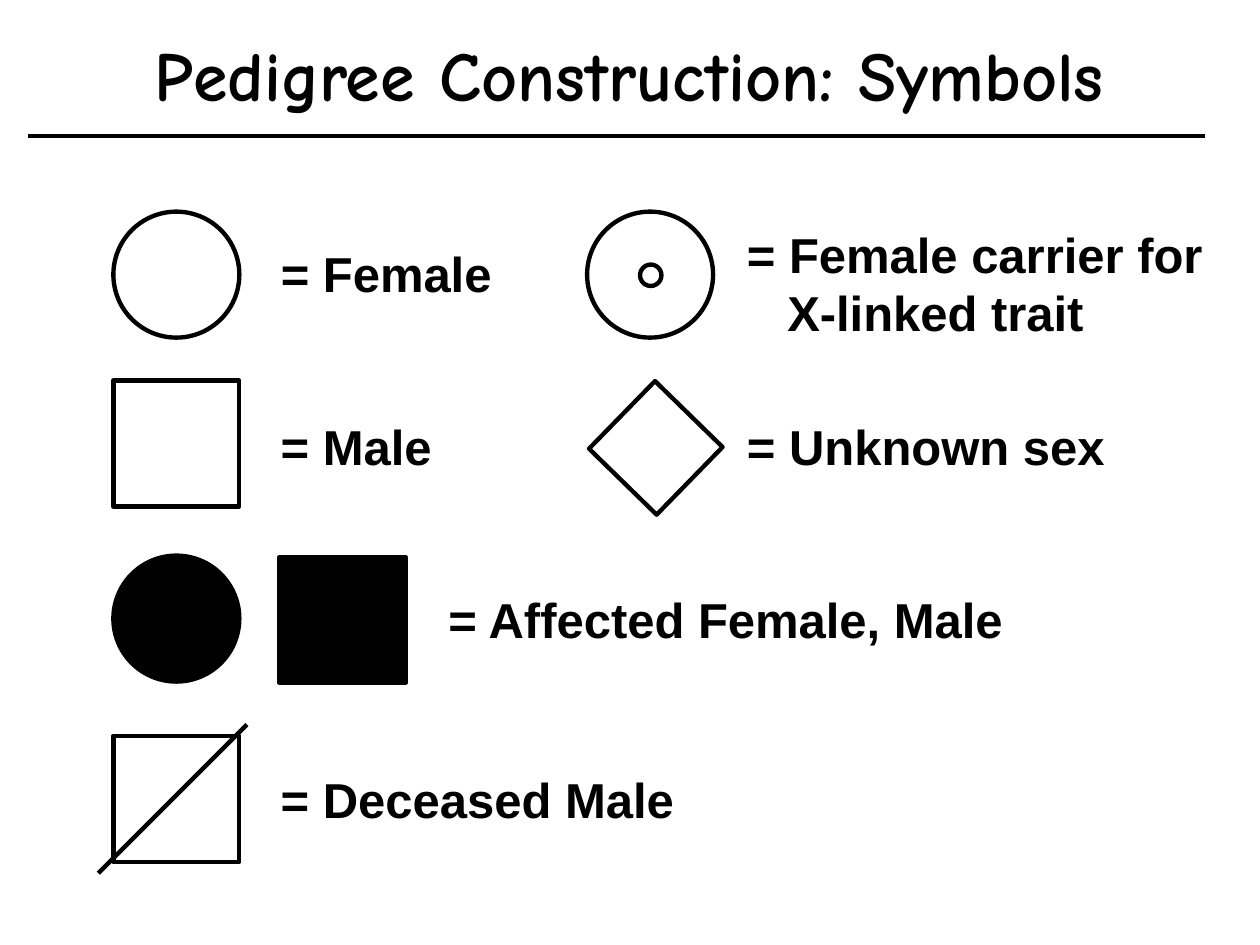
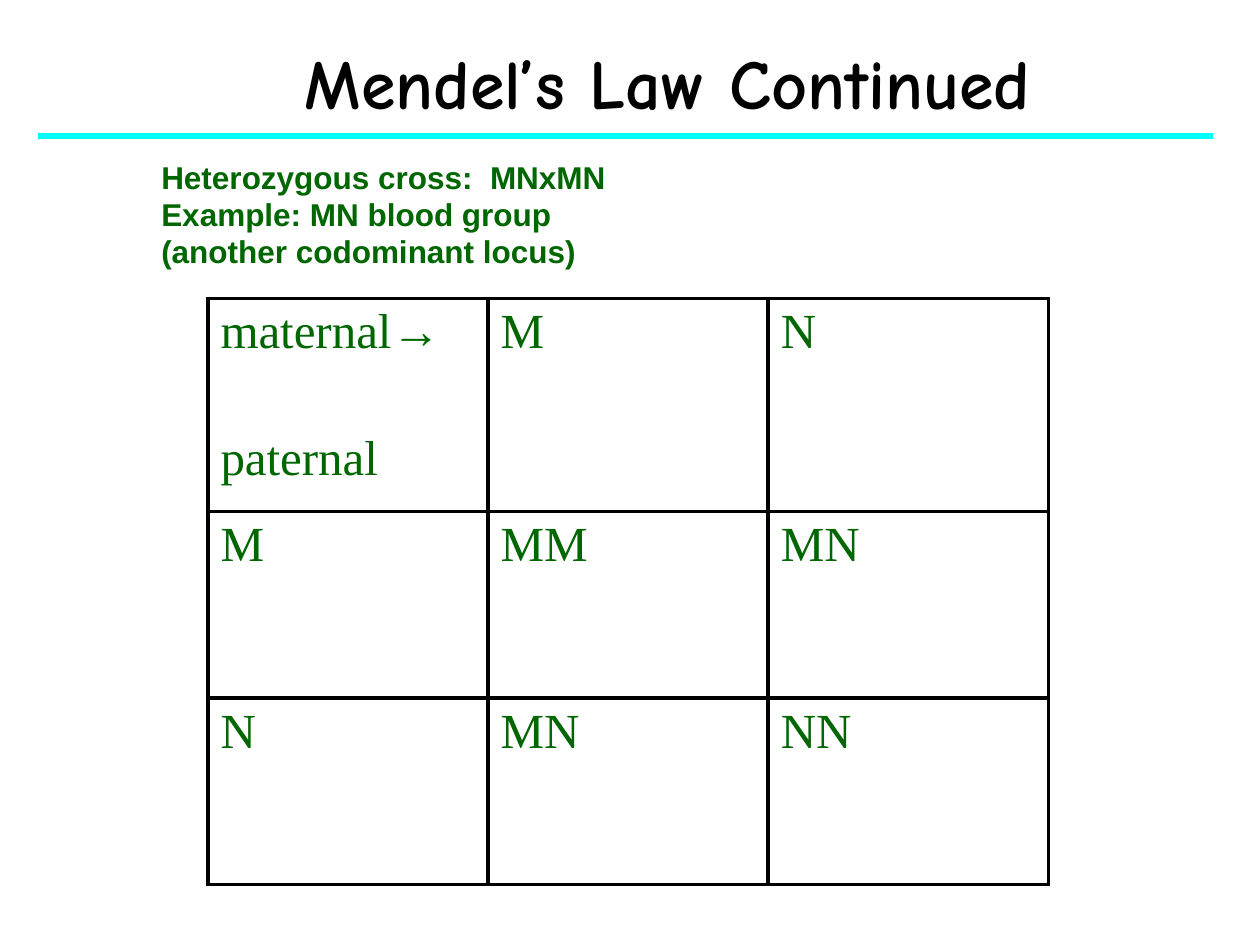
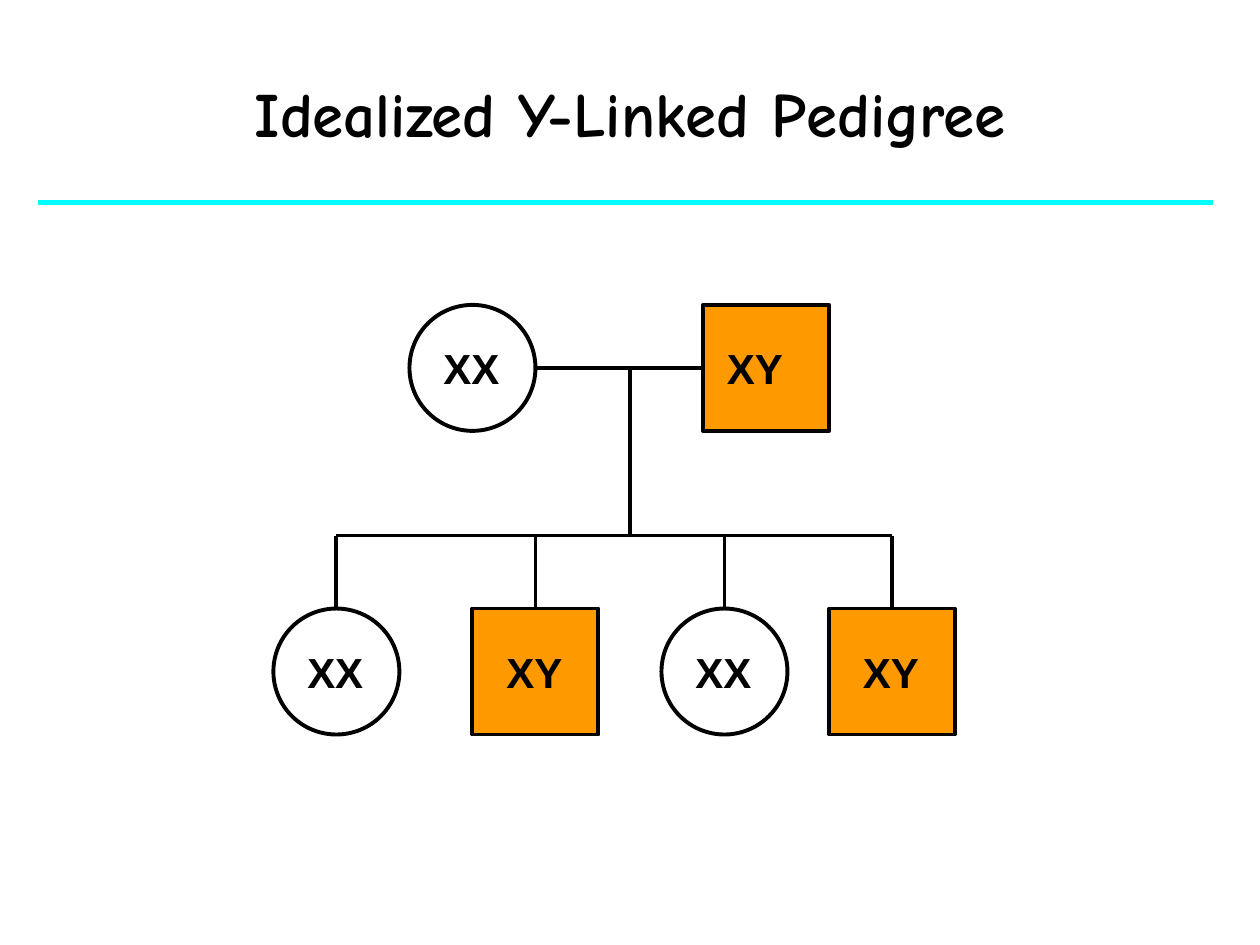
from dataclasses import dataclass

from lxml.etree import SubElement
from pptx import Presentation
from pptx.dml.color import RGBColor
from pptx.enum.shapes import MSO_CONNECTOR, MSO_SHAPE as SHAPE
from pptx.enum.text import MSO_ANCHOR, MSO_AUTO_SIZE as FIT, PP_ALIGN
from pptx.oxml.ns import qn
from pptx.util import Inches, Pt


@dataclass(frozen=True)
class Theme:
    ink: str = "000000"
    paper: str = "FFFFFF"
    accent: str = "00FFFF"
    green: str = "006600"
    affected: str = "FF9900"
    title_font: str = "Comic Neue"
    sans: str = "Arial"
    serif: str = "Times New Roman"
    title_size: float = 40
    small_title_size: float = 36
    label_size: float = 28
    person_size: float = 24
    body_size: float = 18
    symbol_line: float = 2.5
    tree_line: float = 2.25
    rule_line: float = 3


THEME = Theme()
FEMALE, MALE = SHAPE.OVAL, SHAPE.RECTANGLE


def rgb(color):
    return RGBColor.from_string(color)


def inches(*values):
    return [Inches(v) for v in values]


class Deck:
    def __init__(self, theme):
        self.theme = theme
        self.prs = Presentation()
        self.prs.slide_width, self.prs.slide_height = inches(10, 7.5)
        self.s = None

    def slide(self, layout):
        self.s = self.prs.slides.add_slide(self.prs.slide_layouts[layout])

    def place(self, sp, box):
        sp.left, sp.top, sp.width, sp.height = inches(*box)

    def style(self, tf, font, size, color, bold=True):
        for p in tf.paragraphs:
            for r in p.runs:
                r.font.name = font
                r.font.size = Pt(size)
                r.font.bold = bold
                r.font.color.rgb = rgb(color)

    def title(self, text, box, size, spacing=1.0):
        sp = self.s.shapes.title
        self.place(sp, box)
        tf = sp.text_frame
        tf.text = text
        tf.auto_size = FIT.NONE
        tf.vertical_anchor = MSO_ANCHOR.MIDDLE
        p = tf.paragraphs[0]
        p.alignment = PP_ALIGN.CENTER
        p.line_spacing = spacing
        self.style(tf, self.theme.title_font, size, self.theme.ink)

    def body(self, lines, box):
        sp = self.s.placeholders[1]
        self.place(sp, box)
        tf = sp.text_frame
        tf.text = "\n".join(lines)
        tf.auto_size = FIT.NONE
        for i, p in enumerate(tf.paragraphs):
            pPr = p._p.get_or_add_pPr()
            pPr.set("marL", "0")
            pPr.set("indent", "0")
            SubElement(pPr, qn("a:buNone"))
            p.line_spacing = 0.8
            p.space_before = Pt(4 if i else 0)
        self.style(tf, self.theme.sans, self.theme.body_size, self.theme.green)

    def line(self, x1, y1, x2, y2, width, color=None):
        cn = self.s.shapes.add_connector(MSO_CONNECTOR.STRAIGHT, *inches(x1, y1, x2, y2))
        cn.line.color.rgb = rgb(color or self.theme.ink)
        cn.line.width = Pt(width)
        SubElement(cn._element.spPr, qn("a:effectLst"))

    def accent_rule(self, y):
        self.line(0.3, y, 9.63, y, self.theme.rule_line, self.theme.accent)

    def symbol(self, kind, x, y, size=1.0, fill=None, width=None, rotation=0):
        sp = self.s.shapes.add_shape(kind, *inches(x, y, size, size))
        sp.shadow.inherit = False
        sp.rotation = rotation
        if fill:
            sp.fill.solid()
            sp.fill.fore_color.rgb = rgb(fill)
        else:
            sp.fill.background()
        sp.line.color.rgb = rgb(self.theme.ink)
        sp.line.width = Pt(width or self.theme.symbol_line)

    def label(self, text, box, size=None, hang=0):
        tf = self.s.shapes.add_textbox(*inches(*box)).text_frame
        tf.text = text
        tf.word_wrap = False
        tf.auto_size = FIT.SHAPE_TO_FIT_TEXT
        if hang:
            for i, p in enumerate(tf.paragraphs):
                pPr = p._p.get_or_add_pPr()
                pPr.set("marL", str(Inches(hang)))
                pPr.set("indent", str(0 if i else -Inches(hang)))
        self.style(tf, self.theme.sans, size or self.theme.label_size, self.theme.ink)

    def person(self, kind, x, y, text_dx=0.17):
        fill, genes = (None, "XX") if kind == FEMALE else (self.theme.affected, "XY")
        self.symbol(kind, x, y, fill=fill, width=self.theme.tree_line)
        self.label(genes, (x + text_dx, y + 0.25, 0.65, 0.5), self.theme.person_size)

    def border(self, cell):
        tcPr = cell._tc.get_or_add_tcPr()
        for side in ("a:lnL", "a:lnR", "a:lnT", "a:lnB"):
            ln = SubElement(tcPr, qn(side), w=str(Pt(self.theme.tree_line)))
            fill = SubElement(ln, qn("a:solidFill"))
            SubElement(fill, qn("a:srgbClr"), val=self.theme.ink)

    def table(self, rows, box, heights):
        tbl = self.s.shapes.add_table(len(rows), len(rows[0]), *inches(*box)).table
        tbl.first_row = tbl.horz_banding = False
        for row, height in zip(tbl.rows, heights):
            row.height = Inches(height)
        for row, texts in zip(tbl.rows, rows):
            for cell, text in zip(row.cells, texts):
                self.border(cell)
                cell.fill.background()
                tf = cell.text_frame
                tf.text = text
                for p in tf.paragraphs[1:]:
                    p.space_before = Pt(41.5)
                self.style(tf, self.theme.serif, self.theme.label_size, self.theme.green, False)


def symbols_slide(d):
    t = d.theme
    d.slide(5)
    d.title("Pedigree Construction: Symbols", (0.39, 0, 9.21, 1.25), t.title_size, 0.9)
    d.line(0.22, 1.08, 9.56, 1.08, t.symbol_line)

    left, right = 0.9, 4.66
    left_text, right_text = 2.13, 5.83
    d.symbol(FEMALE, left, 1.68)
    d.label("= Female", (left_text, 1.88, 1.88, 0.57))
    d.symbol(MALE, left, 3.02)
    d.label("= Male", (left_text, 3.26, 1.4, 0.57))
    d.symbol(FEMALE, left, 4.41, fill=t.ink)
    d.symbol(MALE, 2.22, 4.42, fill=t.ink)
    d.label("= Affected Female, Male", (3.46, 4.63, 4.73, 0.57))

    d.symbol(FEMALE, right, 1.68)
    d.symbol(FEMALE, 5.08, 2.1, size=0.17, fill=t.paper)
    d.label("= Female carrier for\nX-linked trait", (right_text, 1.73, 3.93, 1.03), hang=0.32)
    d.symbol(MALE, 4.83, 3.18, size=0.75, rotation=314.3)
    d.label("= Unknown sex", (right_text, 3.26, 3.05, 0.57))

    d.symbol(MALE, left, 5.84)
    d.line(0.78, 6.93, 1.96, 5.75, t.symbol_line)
    d.label("= Deceased Male", (left_text, 6.06, 3.33, 0.57))


def cross_slide(d):
    d.slide(1)
    d.title("Mendel’s Law Continued", (1.05, 0.02, 8.5, 1.25), d.theme.title_size)
    d.body(
        [
            "Heterozygous cross:  MNxMN",
            "Example: MN blood group",
            "(another codominant locus)",
        ],
        (1.18, 1.26, 3.9, 0.88),
    )
    d.accent_rule(1.08)
    d.table(
        [
            ["maternal→\npaternal", "M", "N"],
            ["M", "MM", "MN"],
            ["N", "MN", "NN"],
        ],
        (1.65, 2.37, 6.67, 4.65),
        [1.69, 1.48, 1.48],
    )


def pedigree_slide(d):
    width = d.theme.tree_line
    d.slide(5)
    d.title("Idealized Y-Linked Pedigree", (0.75, 0.27, 8.5, 1.25), d.theme.small_title_size)
    d.accent_rule(1.61)

    parent_y, couple_y, branch_y, child_y = 2.42, 2.92, 4.25, 4.83
    children = [(FEMALE, 2.17), (MALE, 3.75), (FEMALE, 5.25), (MALE, 6.58)]
    d.line(4.25, couple_y, 5.58, couple_y, width)
    d.line(5, couple_y, 5, branch_y, width)
    d.line(children[0][1] + 0.5, branch_y, children[-1][1] + 0.5, branch_y, width)
    d.person(FEMALE, 3.25, parent_y)
    d.person(MALE, 5.58, parent_y, text_dx=0.09)
    for kind, x in children:
        d.line(x + 0.5, branch_y, x + 0.5, child_y, width)
        d.person(kind, x, child_y)


def main():
    d = Deck(THEME)
    symbols_slide(d)
    cross_slide(d)
    pedigree_slide(d)
    d.prs.save("out.pptx")


if __name__ == "__main__":
    main()
